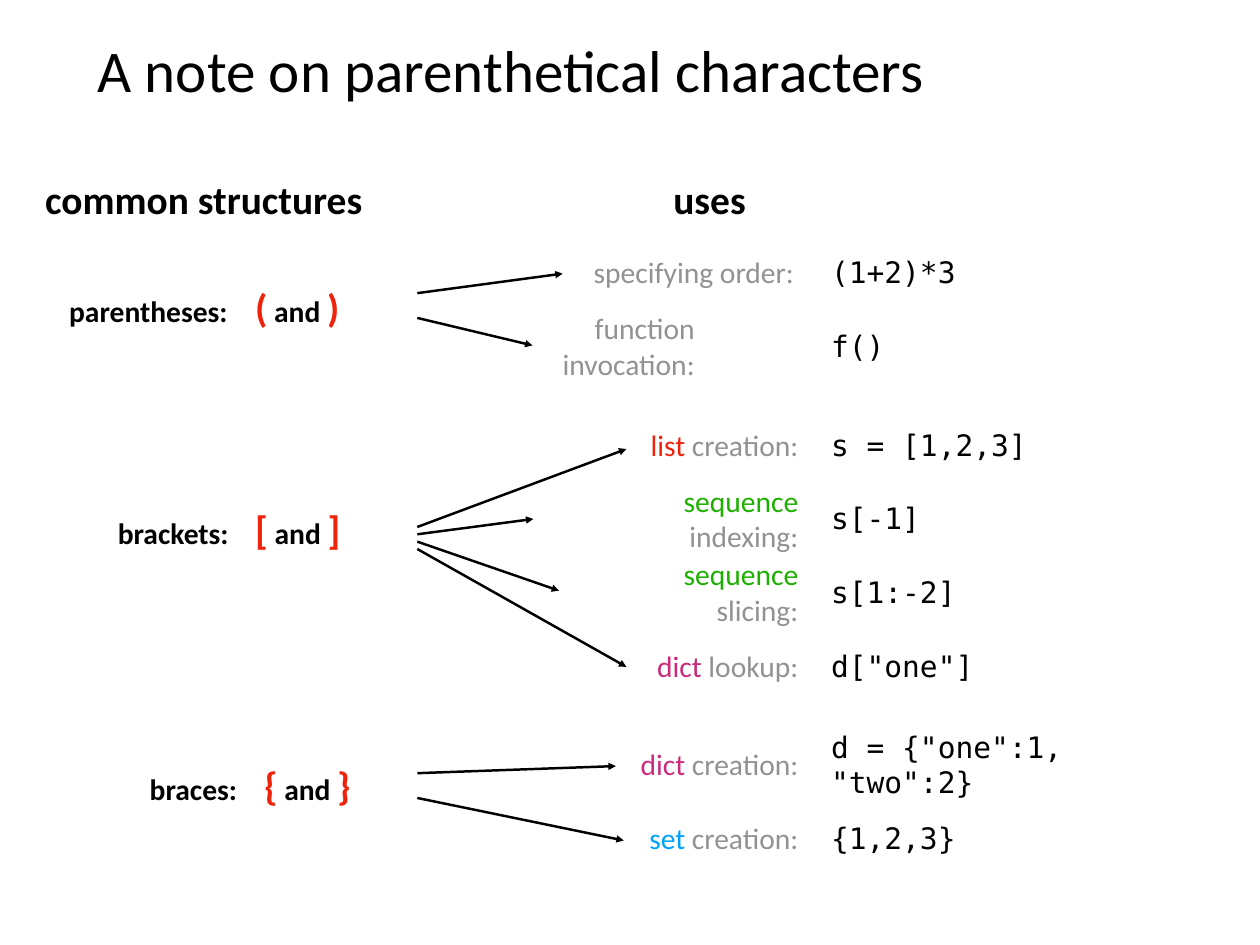
from lxml import etree
from pptx import Presentation
from pptx.dml.color import RGBColor
from pptx.enum.shapes import MSO_CONNECTOR
from pptx.enum.text import MSO_ANCHOR, MSO_AUTO_SIZE, PP_ALIGN
from pptx.oxml.ns import qn
from pptx.util import Inches, Pt

LEFT, RIGHT = PP_ALIGN.LEFT, PP_ALIGN.RIGHT
MIDDLE = MSO_ANCHOR.MIDDLE
NO_AUTOFIT = MSO_AUTO_SIZE.NONE
STRAIGHT = MSO_CONNECTOR.STRAIGHT
TITLE_ONLY = 5

SLIDE_WIDTH, SLIDE_HEIGHT = 14.22, 10.67
BODY_FONT, CODE_FONT = "Calibri", "DejaVu Sans Mono"
BLACK, GRAY, RED = "000000", "929292", "EE230C"
GREEN, PINK, BLUE = "1EB001", "CB2A7A", "00A2FF"

TITLE = "A note on parenthetical characters"
HEADINGS = [("common structures", 0.45), ("uses", 7.54)]

# Structures: name, opening, closing, left, centre, symbol tab,
#             first arrow start, step between arrow starts, uses
# Uses: coloured type, rest of label, code, arrow tip
GROUPS = [
    ("parentheses:", "(", ")", 0.72, 3.46, 2.1, 3.31, 0.28, [
        ("", "specifying order:", "(1+2)*3", (6.35, 3.09)),
        ("", "function invocation:", "f()", (6.01, 3.9)),
    ]),
    ("brackets:", "[", "]", 1.27, 5.97, 1.55, 5.95, 0.083, [
        ("list", " creation:", "s = [1,2,3]", (7.07, 5.07)),
        ("sequence", " indexing:", "s[-1]", (6.02, 5.86)),
        ("sequence", " slicing:", "s[1:-2]", (6.31, 6.67)),
        ("dict", " lookup:", 'd["one"]', (7.07, 7.53)),
    ]),
    ("braces:", "{", "}", 1.63, 8.86, 1.29, 8.73, 0.28, [
        ("dict", " creation:", 'd = {"one":1, "two":2}', (6.95, 8.65)),
        ("set", " creation:", "{1,2,3}", (7.04, 9.49)),
    ]),
]
TYPE_COLORS = {"": GRAY, "list": RED, "sequence": GREEN, "dict": PINK, "set": BLUE}

# Label columns as (left, width); two labels differ from the usual column
LABEL_COLUMN = (7.07, 2.0)
SPECIAL_COLUMNS = {"specifying order:": (6.5, 2.52), "function invocation:": (6.2, 1.7)}
CODE_COLUMN = (9.32, 4.4)
FIRST_ROW, ROW_PITCH, GROUP_GAP = 3.07, 0.833, 0.28
HEADING_CENTER, ARROW_LEFT, INSET = 2.25, 4.71, 0.06


def color(hex_string):
    return RGBColor.from_string(hex_string)


def set_frame(frame):
    frame.word_wrap = True
    frame.auto_size = NO_AUTOFIT
    frame.vertical_anchor = MIDDLE
    frame.margin_left = frame.margin_right = Inches(INSET)
    frame.margin_top = frame.margin_bottom = Inches(INSET)


def style(run, size, hex_string, font=BODY_FONT, bold=False):
    run.font.name = font
    run.font.size = Pt(size)
    run.font.bold = bold
    run.font.color.rgb = color(hex_string)


def add_text(slide, column, center, parts, align=LEFT, font=BODY_FONT,
             bold=False, tab=None, height=0.64):
    """Add a text box centred on a height; parts are (text, size, colour)."""
    left, width = column
    box = slide.shapes.add_textbox(Inches(left), Inches(center - height / 2),
                                   Inches(width), Inches(height))
    set_frame(box.text_frame)
    paragraph = box.text_frame.paragraphs[0]
    paragraph.alignment = align
    if tab:
        tabs = etree.SubElement(paragraph._p.get_or_add_pPr(), qn("a:tabLst"))
        etree.SubElement(tabs, qn("a:tab"), pos=str(Inches(tab)), algn="l")
    for text, size, hex_string in parts:
        run = paragraph.add_run()
        run.text = text
        style(run, size, hex_string, font, bold)


def add_arrow(slide, start, tip):
    points = [Inches(value) for value in (*start, *tip)]
    arrow = slide.shapes.add_connector(STRAIGHT, *points)
    arrow.line.color.rgb = color(BLACK)
    arrow.line.width = Pt(2)
    etree.SubElement(arrow.line._get_or_add_ln(), qn("a:tailEnd"), type="triangle")
    etree.SubElement(arrow._element.spPr, qn("a:effectLst"))


def add_title(slide):
    title = slide.shapes.title
    title.left, title.top = Inches(1.04), Inches(0.28)
    title.width, title.height = Inches(12.14), Inches(0.99)
    set_frame(title.text_frame)
    title.text_frame.text = TITLE
    paragraph = title.text_frame.paragraphs[0]
    paragraph.alignment = LEFT
    style(paragraph.runs[0], 48, BLACK)


def add_use(slide, row, kind, label, code):
    parts = [(kind, 24, TYPE_COLORS[kind])] if kind else []
    add_text(slide, SPECIAL_COLUMNS.get(label, LABEL_COLUMN), row,
             parts + [(label, 24, GRAY)], align=RIGHT, height=0.5)
    add_text(slide, CODE_COLUMN, row, [(code, 24, BLACK)], font=CODE_FONT, height=0.5)


def main():
    presentation = Presentation()
    presentation.slide_width = Inches(SLIDE_WIDTH)
    presentation.slide_height = Inches(SLIDE_HEIGHT)
    slide = presentation.slides.add_slide(presentation.slide_layouts[TITLE_ONLY])
    add_title(slide)
    for heading, left in HEADINGS:
        add_text(slide, (left, 4.53), HEADING_CENTER, [(heading, 32, BLACK)], bold=True)

    row = FIRST_ROW
    for name, opening, closing, left, center, tab, start, step, uses in GROUPS:
        parts = [(name + "\t", 24, BLACK), (opening, 32, RED),
                 (" and ", 24, BLACK), (closing, 32, RED)]
        add_text(slide, (left, ARROW_LEFT - left), center, parts, bold=True, tab=tab)
        for index, (kind, label, code, tip) in enumerate(uses):
            add_use(slide, row, kind, label, code)
            add_arrow(slide, (ARROW_LEFT, start + index * step), tip)
            row += ROW_PITCH
        row += GROUP_GAP
    presentation.save("out.pptx")


if __name__ == "__main__":
    main()
